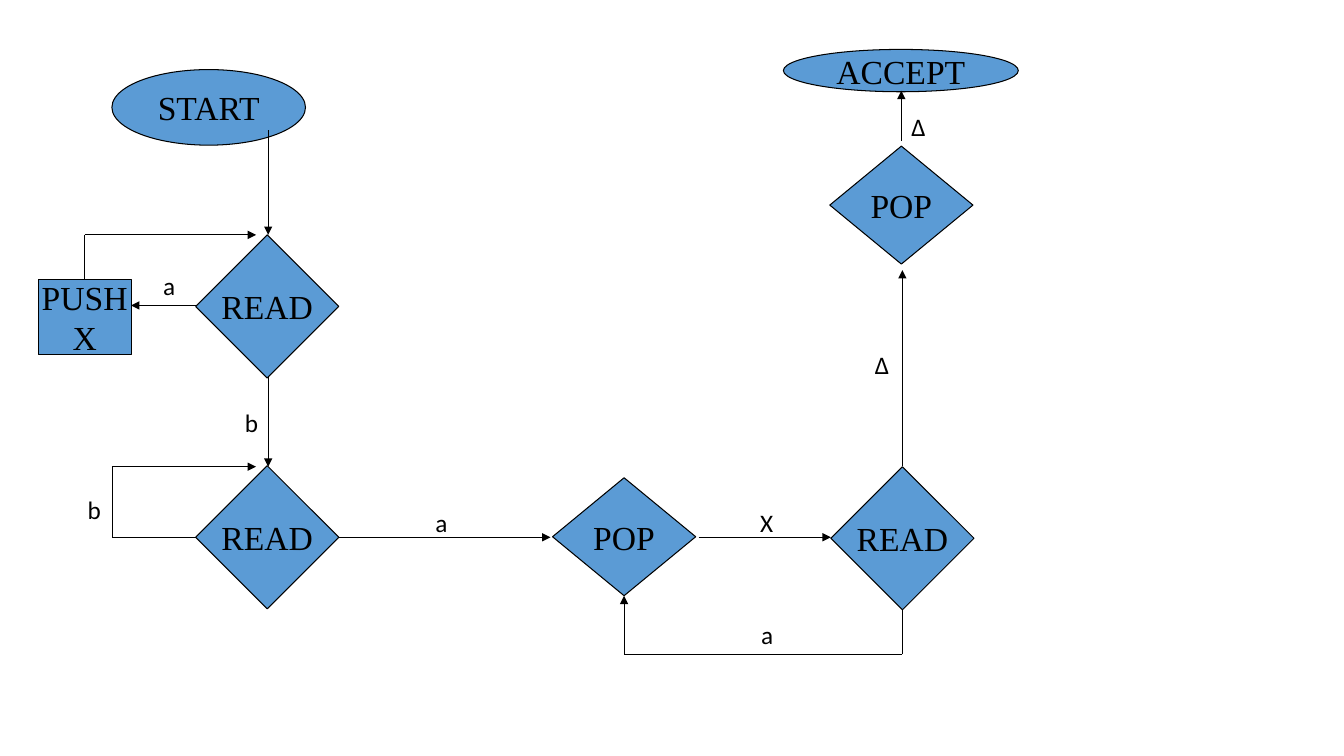
"""Build a flowchart of a pushdown automaton on one slide."""
from itertools import pairwise

from lxml.etree import SubElement
from pptx import Presentation
from pptx.dml.color import RGBColor
from pptx.enum.shapes import MSO_CONNECTOR as Link, MSO_SHAPE as Kind
from pptx.enum.text import MSO_ANCHOR as Anchor, MSO_AUTO_SIZE as Fit, PP_ALIGN as Align
from pptx.oxml.ns import qn
from pptx.util import Emu, Pt

HUES = {"fill": "5B9BD5", "ink": "000000"}
SIZE = (1333, 750)
OVAL, GEM, BOX = Kind.OVAL, Kind.FLOWCHART_DECISION, Kind.RECTANGLE

NODES = [
    (OVAL, ["START"], (111, 69, 192, 75)),
    (GEM, ["READ"], (194, 233, 142, 142)),
    (BOX, ["PUSH", "X"], (38, 277, 92, 75)),
    (GEM, ["READ"], (194, 462, 142, 142)),
    (GEM, ["POP"], (548, 474, 142, 117)),
    (GEM, ["READ"], (824, 463, 142, 142)),
    (GEM, ["POP"], (823, 145, 142, 117)),
    (OVAL, ["ACCEPT"], (777, 49, 233, 42)),
]
ROUTES = [
    [(266, 129), (266, 233)],
    [(194, 303), (130, 303)],
    [(266, 374), (266, 463)],
    [(336, 533), (546, 533)],
    [(693, 533), (824, 533)],
    [(895, 462), (895, 268)],
    [(894, 140), (894, 90)],
    [(84, 277), (84, 233), (254, 233)],
    [(194, 533), (111, 533), (111, 463), (254, 463)],
    [(895, 605), (895, 649), (619, 649), (619, 591)],
]
TAGS = [
    ("a", 152, 263, 32), ("b", 233, 399, 34), ("b", 77, 485, 34),
    ("a", 422, 498, 32), ("X", 744, 498, 33), ("a", 745, 609, 32),
    ("Δ", 858, 342, 36), ("Δ", 894, 106, 36),
]
TAG_H = 40


def px(*nums):
    return [Emu(num * 9144) for num in nums]


def hue(name):
    return RGBColor.from_string(HUES[name])


def ink(line, width):
    line.color.rgb = hue("ink")
    line.width = Pt(width)


def write(para, text, font, size):
    run = para.add_run()
    run.text = text
    run.font.name, run.font.size = font, Pt(size)
    run.font.color.rgb = hue("ink")


def add_node(slide, kind, lines, spot):
    node = slide.shapes.add_shape(kind, *px(*spot))
    node.shadow.inherit = False
    node.fill.solid()
    node.fill.fore_color.rgb = hue("fill")
    ink(node.line, 0.75)
    frame = node.text_frame
    frame.word_wrap = False
    frame.vertical_anchor = Anchor.MIDDLE
    for i, text in enumerate(lines):
        para = frame.add_paragraph() if i else frame.paragraphs[0]
        para.alignment = Align.CENTER
        write(para, text, "Times New Roman", 24)


def add_route(slide, spots):
    width = 0.75 if len(spots) == 2 else 0.5
    for start, end in pairwise(spots):
        link = slide.shapes.add_connector(Link.STRAIGHT, *px(*start, *end))
        ink(link.line, width)
        props = link._element.spPr
        SubElement(props, qn("a:effectLst"))
        if end == spots[-1]:
            SubElement(props.find(qn("a:ln")), qn("a:tailEnd"), type="triangle")


def add_tag(slide, text, left, top, width):
    frame = slide.shapes.add_textbox(*px(left, top, width, TAG_H)).text_frame
    frame.word_wrap = False
    frame.auto_size = Fit.SHAPE_TO_FIT_TEXT
    write(frame.paragraphs[0], text, "Calibri", 18)


def main():
    deck = Presentation()
    deck.slide_width, deck.slide_height = px(*SIZE)
    slide = deck.slides.add_slide(deck.slide_layouts[6])
    for node in NODES:
        add_node(slide, *node)
    for route in ROUTES:
        add_route(slide, route)
    for tag in TAGS:
        add_tag(slide, *tag)
    deck.save("out.pptx")


if __name__ == "__main__":
    main()
